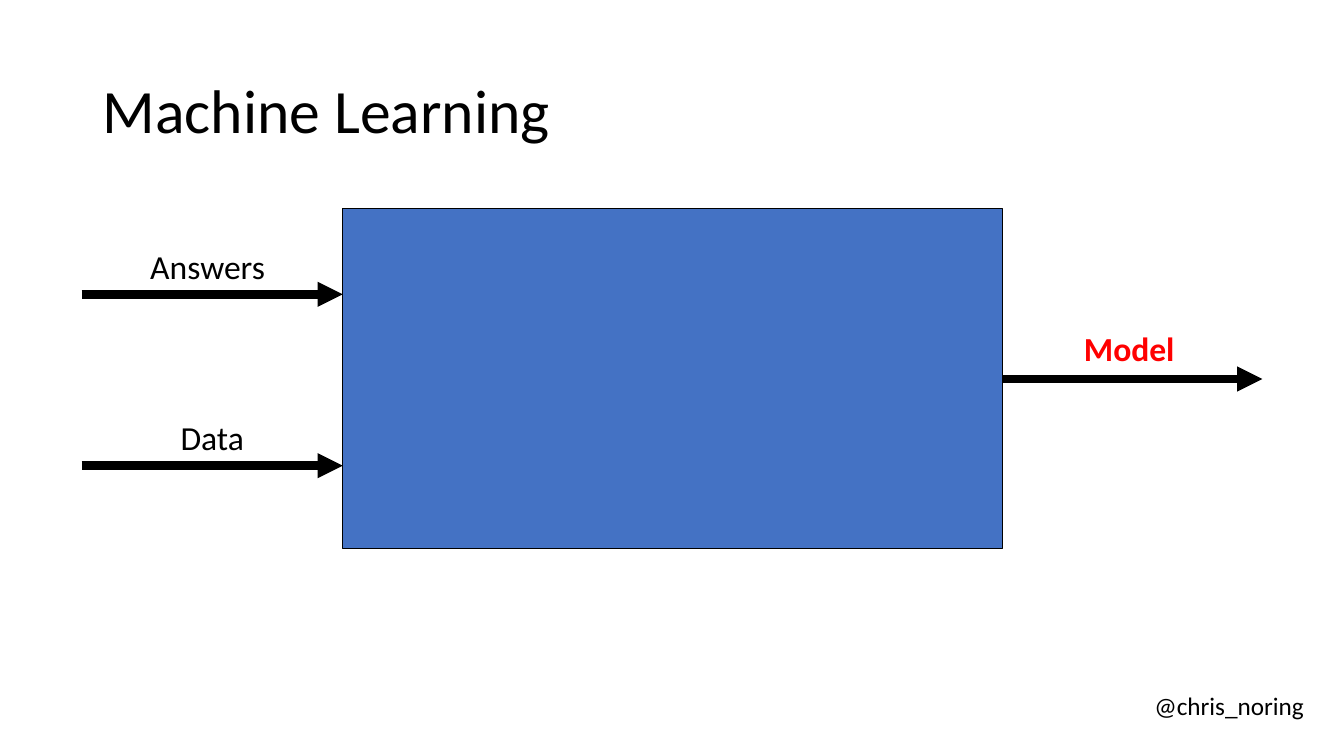
from dataclasses import dataclass

from lxml.etree import SubElement
from pptx import Presentation
from pptx.dml.color import RGBColor
from pptx.enum.shapes import MSO_CONNECTOR, MSO_SHAPE
from pptx.enum.text import MSO_ANCHOR, MSO_AUTO_SIZE, PP_ALIGN
from pptx.oxml.ns import qn
from pptx.slide import Slide
from pptx.util import Pt

EMU_PER_PX = 9144  # 100 px to the inch
FONT = "Calibri"
BLACK, BLUE, RED = "000000", "4472C4", "FF0000"

BOX_LEFT, BOX_TOP, BOX_WIDTH, BOX_HEIGHT = 340, 207, 654, 337
BOX_RIGHT = BOX_LEFT + BOX_WIDTH


@dataclass(frozen=True)
class Label:
    text: str
    left: int
    top: int
    width: int
    height: int = 40
    size: int = 24
    color: str = BLACK
    bold: bool = False
    align: PP_ALIGN = PP_ALIGN.LEFT
    margin_x: int = 0
    margin_y: int = 0
    wrap: bool = False
    line_spacing: float = 1.0


@dataclass(frozen=True)
class Arrow:
    start: int
    end: int
    y: int


LABELS = [
    Label("Machine Learning", 92, 40, 1150, 145, size=44,
          margin_x=10, margin_y=5, wrap=True, line_spacing=0.9),
    Label("Model", 1075, 325, 91, color=RED, bold=True),
    Label("Data", 176, 414, 69, align=PP_ALIGN.CENTER),
    Label("Answers", 149, 244, 123),
    Label("@chris_noring", 1135, 680, 170, size=18, margin_x=10, margin_y=5),
]
ARROWS = [
    Arrow(81, BOX_LEFT, 292),
    Arrow(81, BOX_LEFT, 462),
    Arrow(BOX_RIGHT, 1252, 376),
]


def px(length: int) -> int:
    return length * EMU_PER_PX


def rgb(color: str) -> RGBColor:
    return RGBColor.from_string(color)


def add_box(slide: Slide) -> None:
    shape = slide.shapes.add_shape(
        MSO_SHAPE.RECTANGLE, px(BOX_LEFT), px(BOX_TOP), px(BOX_WIDTH), px(BOX_HEIGHT))
    shape.shadow.inherit = False
    shape.fill.solid()
    shape.fill.fore_color.rgb = rgb(BLUE)
    shape.line.color.rgb = rgb(BLACK)
    shape.line.width = Pt(0.5)


def add_arrow(slide: Slide, arrow: Arrow) -> None:
    connector = slide.shapes.add_connector(
        MSO_CONNECTOR.STRAIGHT, px(arrow.start), px(arrow.y), px(arrow.end), px(arrow.y))
    connector.line.color.rgb = rgb(BLACK)
    connector.line.width = Pt(6)
    SubElement(connector.line._get_or_add_ln(), qn("a:tailEnd"), type="triangle")
    SubElement(connector._element.spPr, qn("a:effectLst"))


def add_label(slide: Slide, label: Label) -> None:
    text_box = slide.shapes.add_textbox(
        px(label.left), px(label.top), px(label.width), px(label.height))
    frame = text_box.text_frame
    frame.margin_left = frame.margin_right = px(label.margin_x)
    frame.margin_top = frame.margin_bottom = px(label.margin_y)
    frame.word_wrap = label.wrap
    if label.wrap:
        frame.auto_size = MSO_AUTO_SIZE.NONE
        frame.vertical_anchor = MSO_ANCHOR.MIDDLE
    else:
        frame.auto_size = MSO_AUTO_SIZE.SHAPE_TO_FIT_TEXT
    paragraph = frame.paragraphs[0]
    paragraph.alignment = label.align
    paragraph.line_spacing = label.line_spacing
    run = paragraph.add_run()
    run.text = label.text
    run.font.name = FONT
    run.font.size = Pt(label.size)
    run.font.bold = label.bold
    run.font.color.rgb = rgb(label.color)


def main() -> None:
    presentation = Presentation()
    presentation.slide_width = px(1333)
    presentation.slide_height = px(750)
    slide = presentation.slides.add_slide(presentation.slide_layouts[6])
    add_box(slide)
    for arrow in ARROWS:
        add_arrow(slide, arrow)
    for label in LABELS:
        add_label(slide, label)
    presentation.save("out.pptx")


if __name__ == "__main__":
    main()
